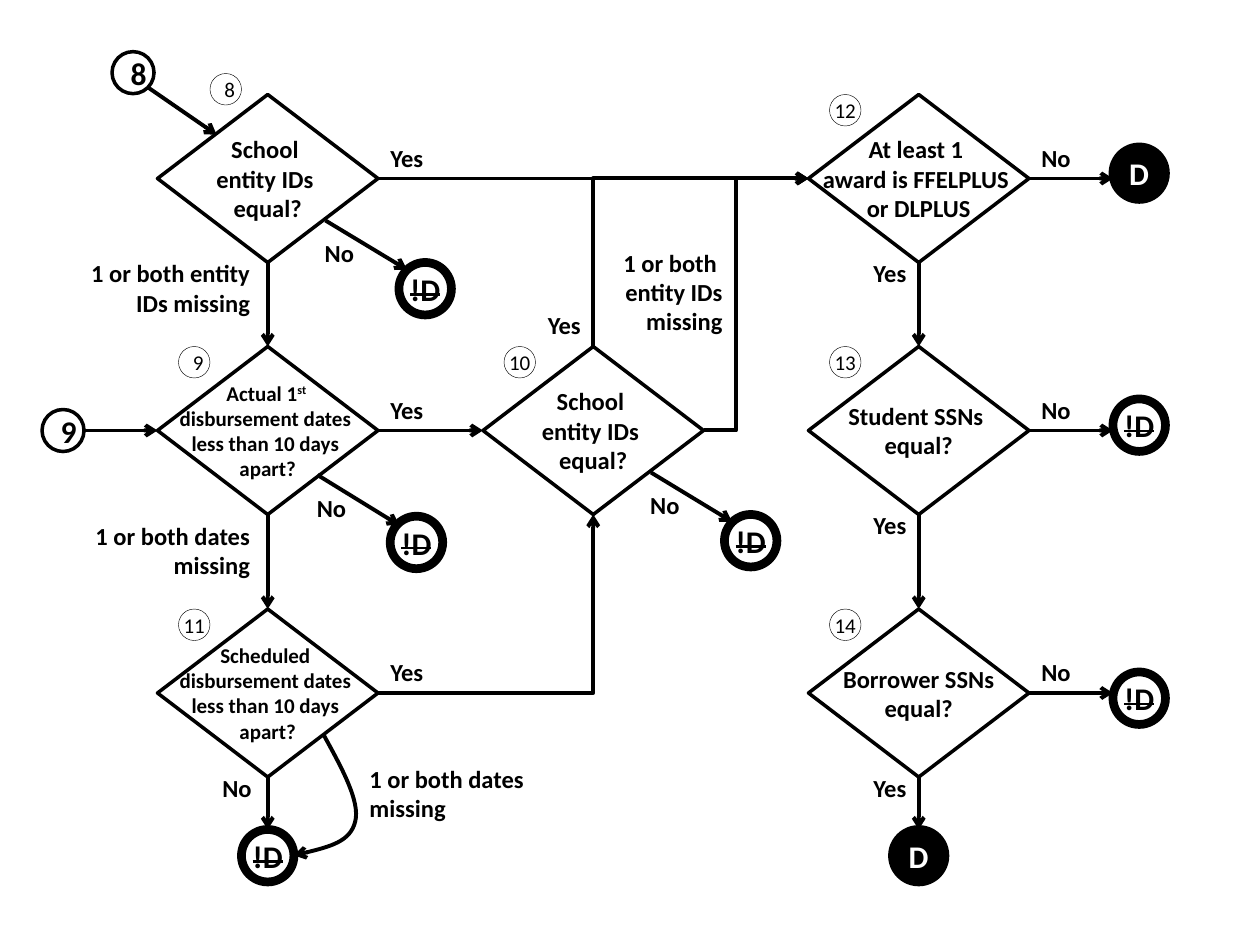
from lxml import etree
from pptx import Presentation
from pptx.dml.color import RGBColor
from pptx.enum.shapes import MSO_CONNECTOR as LINK, MSO_SHAPE as SHAPE
from pptx.enum.text import MSO_ANCHOR, MSO_AUTO_SIZE, PP_ALIGN as ALIGN
from pptx.oxml.ns import qn
from pptx.util import Pt

BLACK, WHITE = RGBColor(0, 0, 0), RGBColor(255, 255, 255)
COLUMNS, ROWS = (90, 276, 462), (54, 198, 348)
WIDTH, HEIGHT = 126, 96
LINE = 2.25

SCHOOL = ["School ", "entity IDs ", "equal?"]
DATES = ["disbursement dates ", "less than 10 days ", "apart?"]
# column, row, text size, lines ("^" starts a superscript)
DECISIONS = [
    (0, 0, 14, SCHOOL),
    (0, 1, 12, ["Actual 1^st ", *DATES]),
    (0, 2, 12, ["Scheduled ", *DATES]),
    (1, 1, 14, SCHOOL),
    (2, 0, 14, ["At least 1 ", "award is FFELPLUS ", "or DLPLUS"]),
    (2, 1, 14, ["Student SSNs ", "equal?"]),
    (2, 2, 14, ["Borrower SSNs", "equal?"]),
]
# step, left, top
STEPS = [("8", 120, 42), ("9", 102, 198), ("10", 288, 198), ("11", 102, 348),
         ("12", 474, 54), ("13", 474, 198), ("14", 474, 348)]
ENTRIES = [("8", 64, 29.5), ("9", 24, 234)]
ENDS = [("!D", 138, 474), ("D", 510, 474), ("D", 636, 84), ("!D", 636, 228),
        ("!D", 636, 384), ("!D", 223, 295), ("!D", 414, 294), ("!D", 228, 150)]
SLANTED = [(84.2, 49.7, 123.8, 77), (181.4, 271.4, 228.2, 300.2),
           (372, 270, 418.3, 298.1), (186, 126, 232.6, 154.1)]
CURVE = [(185, 420), (195.1, 438.5), (205.9, 457.9), (203, 469.4),
         (200.2, 481), (184.3, 485), (168, 488.8)]
ANSWERS = {
    "Yes": [(216, 78), (216, 222), (216, 372), (306, 173.5),
            (492, 144), (492, 288), (492, 438)],
    "No": [(120, 438), (174, 278), (178.5, 132.5), (364.5, 276.5),
           (588, 78), (588, 222), (588, 372)],
}
# lines, left, top, width, height, alignment
NOTES = [
    (["1 or both entity IDs missing"], 36, 144, 114, 41, ALIGN.RIGHT),
    (["1 or both dates missing"], 36, 294, 114, 41, ALIGN.RIGHT),
    (["1 or both dates missing"], 204, 433, 114, 41, ALIGN.LEFT),
    (["1 or both ", "entity IDs missing"], 342, 138, 78, 58, ALIGN.RIGHT),
]


def write(frame, lines, align, strike=False, **font):
    """Fill a text frame with one paragraph per line."""
    for index, line in enumerate(lines):
        paragraph = frame.paragraphs[0] if index == 0 else frame.add_paragraph()
        paragraph.alignment = align
        for part, text in enumerate(line.split("^")):
            run = paragraph.add_run()
            run.text = text
            values = {"name": "Calibri", "bold": True, **font}
            color = values.pop("color", BLACK)
            for key, value in values.items():
                setattr(run.font, key, value)
            run.font.color.rgb = color
            properties = run._r.get_or_add_rPr()
            if part:
                properties.set("baseline", "30000")
            if strike:
                properties.set("strike", "sngStrike")


def add_node(kind, box, lines, line_width, wrap=False, fill=WHITE, **font):
    """Add an outlined flowchart shape with centred text."""
    shape = slide.shapes.add_shape(kind, *map(Pt, box))
    shape.shadow.inherit = False
    shape.fill.solid()
    shape.fill.fore_color.rgb = fill
    shape.line.color.rgb = BLACK
    shape.line.width = Pt(line_width)
    shape.text_frame.word_wrap = wrap
    shape.text_frame.vertical_anchor = MSO_ANCHOR.MIDDLE
    write(shape.text_frame, lines, ALIGN.CENTER, **font)


def add_label(lines, left, top, width, height, align):
    """Add a bold text box."""
    box = slide.shapes.add_textbox(Pt(left), Pt(top), Pt(width), Pt(height))
    box.text_frame.word_wrap = True
    box.text_frame.auto_size = MSO_AUTO_SIZE.SHAPE_TO_FIT_TEXT
    write(box.text_frame, lines, align, size=Pt(14))


def style_arrow(shape):
    """Give a line its colour, width and arrowhead."""
    shape.line.color.rgb = BLACK
    shape.line.width = Pt(LINE)
    etree.SubElement(shape.line._get_or_add_ln(), qn("a:tailEnd"), type="arrow")


def add_arrow(x1, y1, x2, y2, kind=LINK.STRAIGHT):
    """Add an arrow between two points and return it."""
    connector = slide.shapes.add_connector(kind, Pt(x1), Pt(y1), Pt(x2), Pt(y2))
    style_arrow(connector)
    etree.SubElement(connector._element.spPr, qn("a:effectLst"))
    return connector


def add_elbow(points, preset, turn=0, bend=None):
    """Add a bent arrow, with an optional rotation and bend position."""
    properties = add_arrow(*points, LINK.ELBOW)._element.spPr
    geometry = properties.find(qn("a:prstGeom"))
    geometry.set("prst", preset)
    if turn:
        properties.find(qn("a:xfrm")).set("rot", str(turn * 60000))
    if bend:
        guides = geometry.find(qn("a:avLst"))
        etree.SubElement(guides, qn("a:gd"), name="adj1", fmla=f"val {bend}")


def add_curve(points):
    """Add a curved arrow through cubic Bezier points."""
    start, *others = [(Pt(x), Pt(y)) for x, y in points]
    builder = slide.shapes.build_freeform(*start)
    builder.add_line_segments(others, close=False)
    shape = builder.convert_to_shape()
    segments = list(shape._element.iter(qn("a:lnTo")))
    for first in range(0, len(segments), 3):
        curve = etree.Element(qn("a:cubicBezTo"))
        segments[first].addprevious(curve)
        for segment in segments[first:first + 3]:
            curve.append(segment[0])
            segment.getparent().remove(segment)
    shape.shadow.inherit = False
    shape.fill.background()
    style_arrow(shape)


presentation = Presentation()
presentation.slide_width, presentation.slide_height = Pt(720), Pt(540)
slide = presentation.slides.add_slide(presentation.slide_layouts[6])

for column, row, size, lines in DECISIONS:
    add_node(SHAPE.FLOWCHART_DECISION, (COLUMNS[column], ROWS[row], WIDTH, HEIGHT),
             lines, 2, size=Pt(size))

left_x, middle_x, right_x = (left + WIDTH / 2 for left in COLUMNS)
top_y, middle_y, bottom_y = (top + HEIGHT / 2 for top in ROWS)
first_exit, middle_exit, last_exit = (left + WIDTH for left in COLUMNS)
add_arrow(first_exit, top_y, COLUMNS[2], top_y)
add_arrow(first_exit, middle_y, COLUMNS[1], middle_y)
add_arrow(48, middle_y, COLUMNS[0], middle_y)
for x in (left_x, right_x):
    for top, following in zip(ROWS, (*ROWS[1:], 474)):
        add_arrow(x, top + HEIGHT, x, following)
for y in (top_y, middle_y, bottom_y):
    add_arrow(last_exit, y, 636, y)
for points in SLANTED:
    add_arrow(*points)

add_elbow((first_exit, bottom_y, middle_x, ROWS[1] + HEIGHT), "bentConnector2")
# A quarter turn swaps the sides of the box around its centre.
rise, run_x = ROWS[1] - top_y, COLUMNS[2] - middle_x
center_x, center_y = middle_x + run_x / 2, top_y + rise / 2
add_elbow((center_x + rise / 2, center_y + run_x / 2,
           center_x - rise / 2, center_y - run_x / 2), "bentConnector2", turn=90)
add_elbow((middle_exit, middle_y, COLUMNS[2], top_y), "bentConnector3", bend=31100)
add_curve(CURVE)

CIRCLE = SHAPE.FLOWCHART_CONNECTOR
for text, left, top in ENDS:
    filled = text == "D"
    add_node(CIRCLE, (left, top, 30, 30), [text], 5, fill=BLACK if filled else WHITE,
             color=WHITE if filled else BLACK, strike=not filled, size=Pt(18))
for text, left, top in ENTRIES:
    add_node(CIRCLE, (left, top, 24, 24), [text], 2, wrap=True, size=Pt(18))
for text, left, top in STEPS:
    add_node(CIRCLE, (left, top, 18, 18), [text], 0.25, wrap=len(text) == 1,
             size=Pt(12), bold=False)

for text, places in ANSWERS.items():
    for left, top in places:
        add_label([text], left, top, 36, 24.5, ALIGN.LEFT)
for note in NOTES:
    add_label(*note)

presentation.save("out.pptx")
